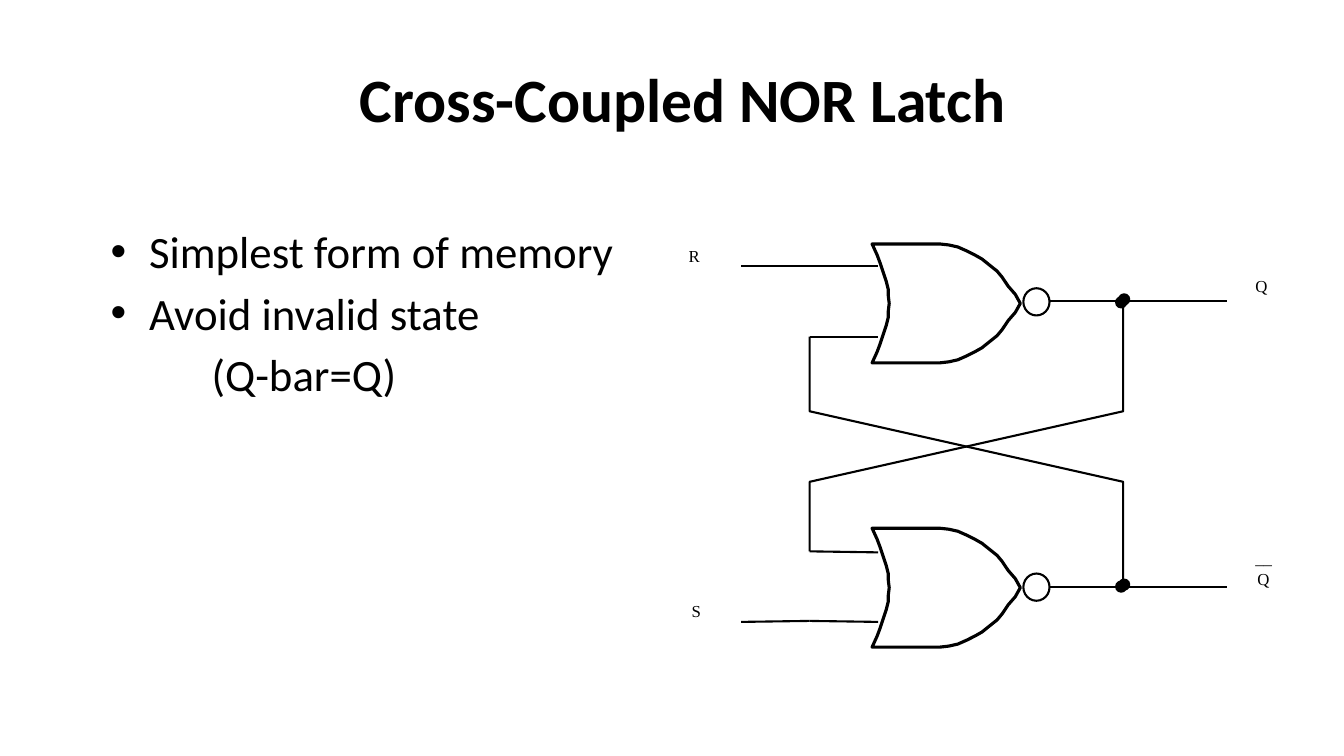
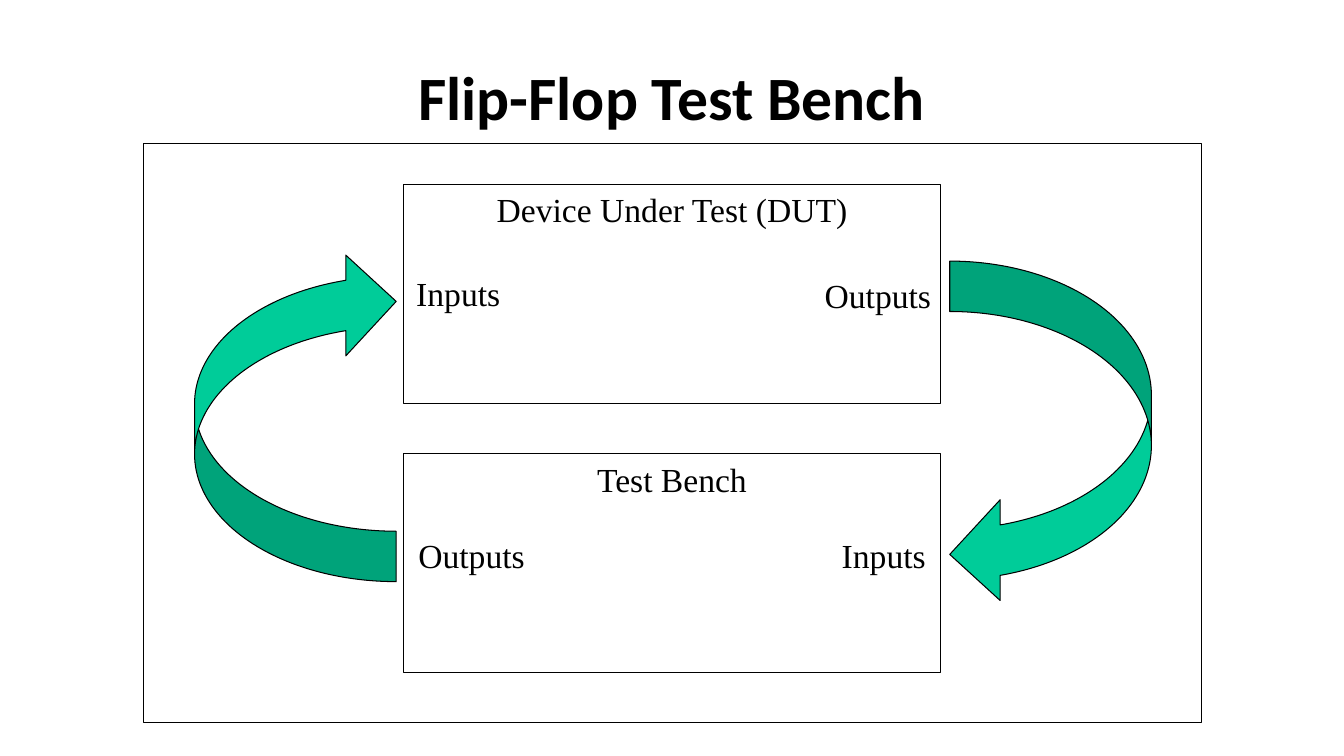
import dataclasses
import typing

import lxml.etree
import pptx
import pptx.dml.color
import pptx.enum.shapes
import pptx.enum.text
import pptx.oxml.ns
import pptx.util

Inches = pptx.util.Inches
Pt = pptx.util.Pt
Preset = pptx.enum.shapes.MSO_SHAPE
Align = pptx.enum.text.PP_ALIGN
Anchor = pptx.enum.text.MSO_ANCHOR
qn = pptx.oxml.ns.qn
Point = tuple[float, float]

# Shared style
BLACK = "000000"
GREEN = "00CC99"
HEADING_FONT = "Calibri"
DIAGRAM_FONT = "Times New Roman"
WIRE_WIDTH = 1.5
GATE_WIDTH = 2.25
FRAME_WIDTH = 0.75


@dataclasses.dataclass(frozen=True)
class Box:
    left: float
    top: float
    width: float
    height: float

    def lengths(self) -> list[int]:
        return [Inches(value) for value in dataclasses.astuple(self)]


@dataclasses.dataclass(frozen=True)
class Label:
    text: str
    box: Box


@dataclasses.dataclass(frozen=True)
class Bullet:
    text: str
    marked: bool = True


# Gate outline, measured from the middle of its back edge
GATE_LEFT = 8.65
GATE_CENTERS = (3.01, 5.83)
GATE_FRONT = [
    (0, -0.59), (0.62, -0.59), (0.67, -0.59), (0.76, -0.58), (0.85, -0.56),
    (0.94, -0.52), (1.02, -0.48), (1.09, -0.44), (1.14, -0.4), (1.19, -0.36),
    (1.24, -0.32), (1.29, -0.26), (1.35, -0.17), (1.42, -0.09), (1.47, 0),
]
GATE_BACK = [
    (0.17, 0), (0.16, -0.08), (0.16, -0.14), (0.14, -0.22), (0.11, -0.31),
    (0.08, -0.4), (0.05, -0.48),
]

WIRES = [
    [(7.35, 2.64), (8.71, 2.64)],
    [(8.03, 3.34), (8.71, 3.34)],
    [(8.03, 5.47), (8.71, 5.48)],
    [(7.35, 6.17), (8.03, 6.16)],
    [(8.03, 6.16), (8.71, 6.17)],
    [(10.41, 2.99), (12.17, 2.99)],
    [(10.41, 5.82), (12.17, 5.82)],
]
FEEDBACK_PATHS = [
    [(11.14, 5.82), (11.14, 4.78), (8.03, 4.08), (8.03, 3.34)],
    [(11.14, 2.99), (11.14, 4.08), (8.03, 4.78), (8.03, 5.47)],
]
JUNCTION_DOTS = [(11.1, 2.92), (11.07, 2.95), (11.1, 5.75), (11.07, 5.77)]
INVERTER_TOPS = (2.86, 5.69)

SIGNAL_LABELS = [
    Label("Q", Box(12.45, 2.74, 0.22, 0.32)),
    Label("R", Box(6.83, 2.44, 0.2, 0.32)),
    Label("S", Box(6.86, 5.96, 0.19, 0.32)),
    Label("Q", Box(12.47, 5.64, 0.22, 0.32)),
    Label("__", Box(12.45, 5.43, 0.19, 0.2)),
]
LATCH_BULLETS = [
    Bullet("Simplest form of memory"),
    Bullet("Avoid invalid state"),
    Bullet("(Q-bar=Q)", marked=False),
]
BENCH_BLOCKS = [
    Label("", Box(1.42, 1.42, 10.5, 5.75)),
    Label("Device Under Test (DUT)", Box(4, 1.83, 5.33, 2.17)),
    Label("Test Bench", Box(4, 4.5, 5.33, 2.17)),
]
PORT_LABELS = [
    Label("Inputs", Box(4.03, 2.66, 1.25, 0.5)),
    Label("Outputs", Box(8.08, 2.68, 1.42, 0.5)),
    Label("Inputs", Box(8.25, 5.26, 1.25, 0.5)),
    Label("Outputs", Box(4.05, 5.26, 1.42, 0.5)),
]


def color(value: str) -> pptx.dml.color.RGBColor:
    return pptx.dml.color.RGBColor.from_string(value)


def write(paragraph: typing.Any, text: str, *, size: float, font: str = DIAGRAM_FONT,
          bold: bool = False, align: Align = Align.LEFT) -> None:
    paragraph.alignment = align
    run = paragraph.add_run()
    run.text = text
    run.font.name = font
    run.font.size = Pt(size)
    run.font.bold = bold
    run.font.color.rgb = color(BLACK)


def style_shape(shape: typing.Any, line_width: float, fill: str | None = None) -> None:
    shape.shadow.inherit = False
    if fill:
        shape.fill.solid()
        shape.fill.fore_color.rgb = color(fill)
    else:
        shape.fill.background()
    shape.line.color.rgb = color(BLACK)
    shape.line.width = Pt(line_width)


def add_preset(slide: typing.Any, preset: Preset, box: Box, line_width: float,
               fill: str | None = None) -> typing.Any:
    shape = slide.shapes.add_shape(preset, *box.lengths())
    style_shape(shape, line_width, fill)
    return shape


def add_outline(slide: typing.Any, points: list[Point], line_width: float,
                close: bool = False) -> None:
    corners = [(Inches(x), Inches(y)) for x, y in points]
    builder = slide.shapes.build_freeform(*corners[0], scale=1.0)
    builder.add_line_segments(corners[1:], close=close)
    style_shape(builder.convert_to_shape(), line_width)


def add_wire(slide: typing.Any, start: Point, end: Point) -> None:
    connector = slide.shapes.add_connector(
        pptx.enum.shapes.MSO_CONNECTOR.STRAIGHT,
        *[Inches(value) for value in (*start, *end)])
    connector.line.color.rgb = color(BLACK)
    connector.line.width = Pt(WIRE_WIDTH)
    lxml.etree.SubElement(connector._element.spPr, qn("a:effectLst"))


def add_gate(slide: typing.Any, center: float) -> None:
    lower_front = [(x, -y) for x, y in reversed(GATE_FRONT[:-1])]
    lower_back = [(x, -y) for x, y in reversed(GATE_BACK[1:])]
    outline = GATE_FRONT + lower_front + lower_back + GATE_BACK
    points = [(GATE_LEFT + x, center + y) for x, y in outline]
    add_outline(slide, points, GATE_WIDTH, close=True)


def add_label(slide: typing.Any, label: Label, size: float, tight: bool = False) -> None:
    text_box = slide.shapes.add_textbox(*label.box.lengths())
    frame = text_box.text_frame
    frame.word_wrap = not tight
    frame.auto_size = pptx.enum.text.MSO_AUTO_SIZE.SHAPE_TO_FIT_TEXT
    if tight:
        frame.margin_left = frame.margin_right = 0
        frame.margin_top = frame.margin_bottom = 0
    write(frame.paragraphs[0], label.text, size=size)


def add_bullets(slide: typing.Any, box: Box, bullets: list[Bullet]) -> None:
    frame = slide.shapes.add_textbox(*box.lengths()).text_frame
    frame.word_wrap = True
    for index, bullet in enumerate(bullets):
        paragraph = frame.add_paragraph() if index else frame.paragraphs[0]
        write(paragraph, bullet.text, size=32, font=HEADING_FONT)
        paragraph.space_before = Pt(5.6)
        properties = paragraph._p.get_or_add_pPr()
        properties.set("marL", str(Inches(0.38 if bullet.marked else 1)))
        if bullet.marked:
            properties.set("indent", str(Inches(-0.38)))
            lxml.etree.SubElement(properties, qn("a:buFont"), typeface="Arial")
            lxml.etree.SubElement(properties, qn("a:buChar"), char="•")


def add_titled_slide(presentation: typing.Any, text: str, box: Box) -> typing.Any:
    slide = presentation.slides.add_slide(presentation.slide_layouts[5])
    title = slide.shapes.title
    title.left, title.top, title.width, title.height = box.lengths()
    title.text_frame.vertical_anchor = Anchor.MIDDLE
    write(title.text_frame.paragraphs[0], text, size=44, font=HEADING_FONT,
          bold=True, align=Align.CENTER)
    return slide


def build_latch_slide(presentation: typing.Any) -> None:
    slide = add_titled_slide(presentation, "Cross-Coupled NOR Latch",
                             Box(1.11, 0.35, 11.33, 1.25))
    add_bullets(slide, Box(1, 2.17, 5.37, 4.5), LATCH_BULLETS)
    # Gates and wiring
    for center in GATE_CENTERS:
        add_gate(slide, center)
    for start, end in WIRES:
        add_wire(slide, start, end)
    for points in FEEDBACK_PATHS:
        add_outline(slide, points, WIRE_WIDTH)
    # Junctions, inverter circles and signal names
    for left, top in JUNCTION_DOTS:
        add_preset(slide, Preset.OVAL, Box(left, top, 0.1, 0.1), WIRE_WIDTH, BLACK)
    for top in INVERTER_TOPS:
        add_preset(slide, Preset.OVAL, Box(10.15, top, 0.26, 0.27), WIRE_WIDTH)
    for label in SIGNAL_LABELS:
        add_label(slide, label, 12, tight=True)


def build_bench_slide(presentation: typing.Any) -> None:
    slide = add_titled_slide(presentation, "Flip-Flop Test Bench",
                             Box(1, 0.33, 11.33, 1.25))
    # Frame, blocks and their ports
    for block in BENCH_BLOCKS:
        shape = add_preset(slide, Preset.RECTANGLE, block.box, FRAME_WIDTH)
        if block.text:
            shape.text_frame.vertical_anchor = Anchor.TOP
            write(shape.text_frame.paragraphs[0], block.text, size=24,
                  align=Align.CENTER)
    for label in PORT_LABELS:
        add_label(slide, label, 24)
    # Signal flow around the loop
    upward = add_preset(slide, Preset.CURVED_RIGHT_ARROW, Box(1.93, 2.49, 2, 3.28),
                        FRAME_WIDTH, GREEN)
    upward.rotation = 180
    upward._element.spPr.find(qn("a:xfrm")).set("flipH", "1")
    add_preset(slide, Preset.CURVED_LEFT_ARROW, Box(9.42, 2.59, 2, 3.41),
               FRAME_WIDTH, GREEN)


def main() -> None:
    presentation = pptx.Presentation()
    presentation.slide_width = Inches(13.33)
    presentation.slide_height = Inches(7.5)
    build_latch_slide(presentation)
    build_bench_slide(presentation)
    presentation.save("out.pptx")


if __name__ == "__main__":
    main()
